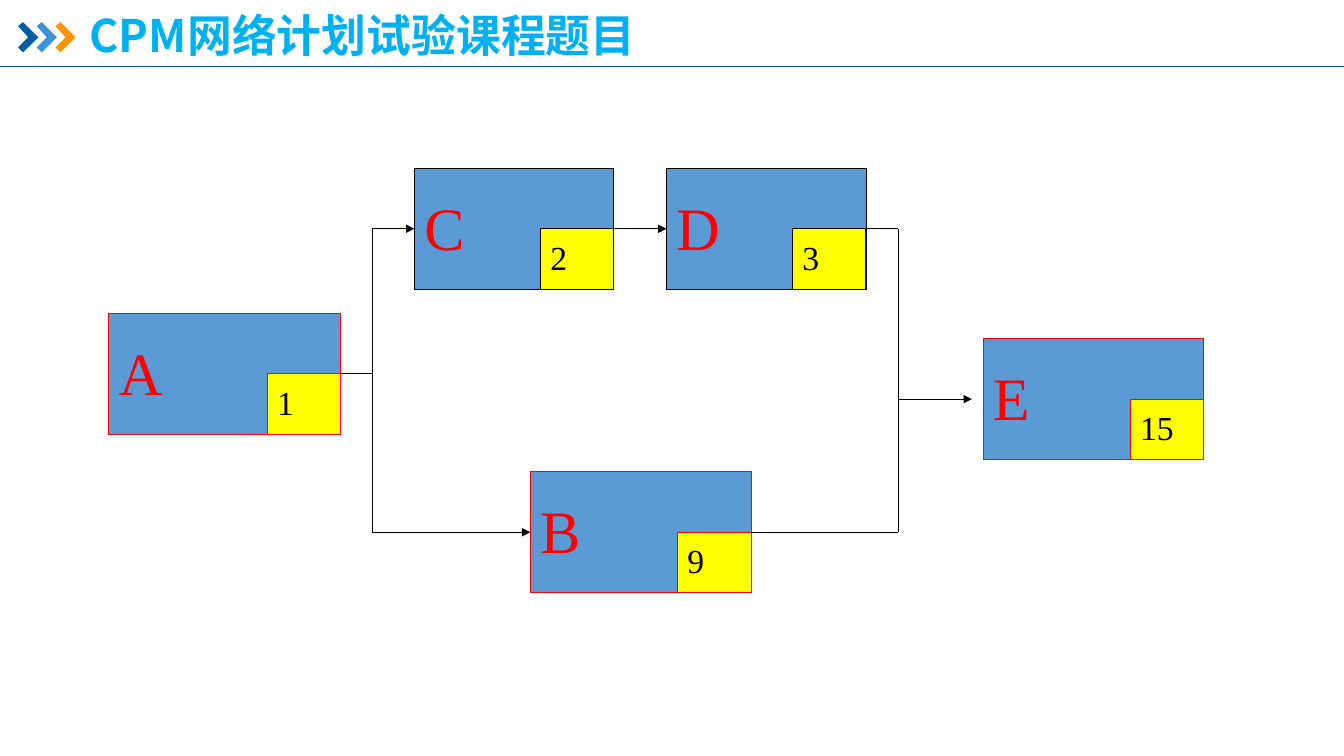
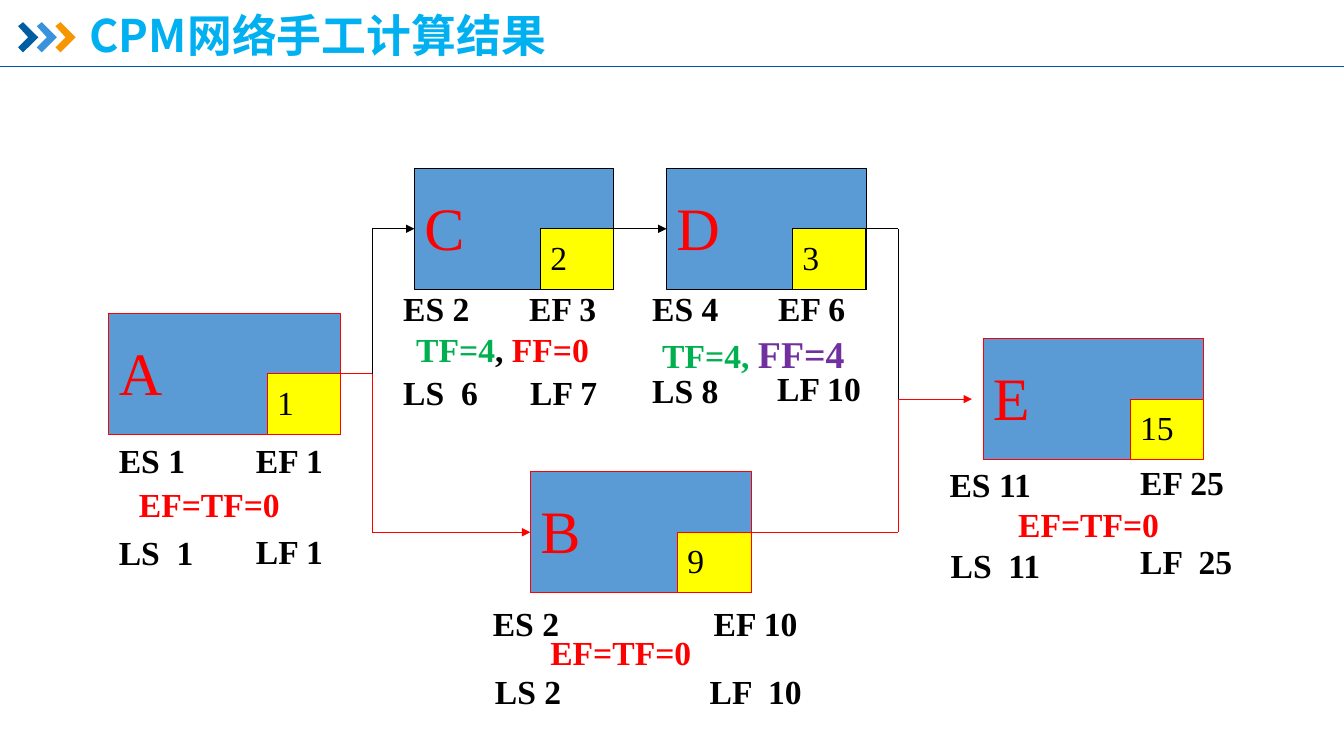
from dataclasses import dataclass
from typing import Optional

from lxml.etree import SubElement
from pptx import Presentation
from pptx.dml.color import RGBColor
from pptx.enum.shapes import MSO_CONNECTOR, MSO_SHAPE
from pptx.enum.text import MSO_ANCHOR, MSO_AUTO_SIZE, PP_ALIGN
from pptx.oxml.ns import qn
from pptx.util import Inches, Pt

RECT = MSO_SHAPE.RECTANGLE
LINE = MSO_CONNECTOR.STRAIGHT
MIDDLE = MSO_ANCHOR.MIDDLE
GROW = MSO_AUTO_SIZE.SHAPE_TO_FIT_TEXT
LEFT = PP_ALIGN.LEFT
WEST, EAST = 1, 3  # connection sites


@dataclass(frozen=True)
class Theme:
    sans: str = "Noto Sans CJK SC"
    serif: str = "Times New Roman"
    title: str = "00B0F0"
    rule: str = "0054A9"
    marks: tuple = ("005DA2", "3992DB", "F79600")
    box: str = "5B9BD5"
    badge: str = "FFFF00"
    ink: str = "000000"
    red: str = "FF0000"
    green: str = "00B050"
    purple: str = "7030A0"
    head: int = 32
    name: int = 43
    body: int = 24
    large: int = 27
    thin: float = 0.5
    edge: float = 0.75


@dataclass(frozen=True)
class Node:
    name: str
    days: str
    x: float
    y: float
    w: float
    hot: bool  # on the critical path


@dataclass(frozen=True)
class Wire:
    start: tuple
    end: tuple
    hot: bool = False
    tip: bool = False
    tail: Optional[str] = None  # node left on its right side
    head: Optional[str] = None  # node met on its left side


@dataclass(frozen=True)
class Span:
    text: str
    color: str
    size: int


@dataclass(frozen=True)
class Note:
    x: float
    y: float
    w: float
    spans: tuple


T = Theme()
HIGH, HALF = 1.2, 0.6
BADGE = 0.73

# Network: nodes and the wires between them
NODES = (
    Node("A", "1", 1.08, 3.11, 2.3, True),
    Node("B", "9", 5.26, 4.68, 2.19, True),
    Node("C", "2", 4.11, 1.67, 1.98, False),
    Node("D", "3", 6.61, 1.67, 1.98, False),
    Node("E", "15", 9.75, 3.36, 2.19, True),
)
FORK, JOIN = 3.69, 8.91
TOP, MID, LOW, GOAL = 2.27, 3.71, 5.28, 3.96
WIRES = (
    Wire((3.38, MID), (FORK, MID), hot=True, tail="A"),
    Wire((FORK, MID), (FORK, LOW), hot=True),
    Wire((FORK, LOW), (5.26, LOW), hot=True, tip=True, head="B"),
    Wire((7.45, LOW), (JOIN, LOW), hot=True, tail="B"),
    Wire((JOIN, GOAL), (JOIN, LOW), hot=True),
    Wire((JOIN, GOAL), (9.64, GOAL), hot=True, tip=True),
    Wire((FORK, MID), (FORK, TOP)),
    Wire((FORK, TOP), (4.11, TOP), tip=True, head="C"),
    Wire((6.09, TOP), (6.61, TOP), tip=True, tail="C", head="D"),
    Wire((8.59, TOP), (JOIN, TOP), tail="D"),
    Wire((JOIN, TOP), (JOIN, GOAL)),
)


def plain(x: float, y: float, w: float, text: str, color: str = T.ink) -> Note:
    return Note(x, y, w, (Span(text, color, T.body),))


# Times and floats beside each node
NOTES = (
    plain(1.08, 4.36, 1.02, "ES 1"),
    plain(2.44, 4.36, 1.04, "EF 1"),
    plain(1.28, 4.8, 2.26, "EF=TF=0", T.red),
    plain(1.08, 5.28, 1.04, "LS  1"),
    plain(2.44, 5.27, 1.25, "LF 1"),
    plain(4.79, 5.98, 1.04, "ES 2"),
    plain(6.98, 5.98, 1.15, "EF 10"),
    plain(5.36, 6.27, 2.19, "EF=TF=0", T.red),
    plain(4.81, 6.66, 1.15, "LS 2"),
    plain(6.94, 6.66, 1.57, "LF  10"),
    plain(3.9, 2.86, 1.25, "ES 2"),
    plain(5.15, 2.86, 1.25, "EF 3"),
    Note(4.03, 3.26, 2.51, (Span("TF=4", T.green, T.body),
                            Span(", ", T.ink, T.body),
                            Span("FF=0", T.red, T.body))),
    plain(3.9, 3.69, 1.15, "LS  6"),
    plain(5.16, 3.69, 1.25, "LF 7"),
    plain(6.37, 2.86, 1.25, "ES 4"),
    plain(7.62, 2.86, 1.15, "EF 6"),
    Note(6.47, 3.28, 2.13, (Span("TF=4, ", T.green, T.body),
                            Span("FF=4", T.purple, T.large))),
    plain(6.37, 3.67, 1.25, "LS 8"),
    plain(7.61, 3.65, 1.36, "LF 10"),
    plain(9.32, 4.6, 1.36, "ES 11"),
    plain(11.21, 4.58, 1.25, "EF 25"),
    plain(10, 5, 1.94, "EF=TF=0", T.red),
    plain(9.33, 5.41, 1.39, "LS  11"),
    plain(11.21, 5.37, 1.25, "LF  25"),
)


def rgb(code: str) -> RGBColor:
    return RGBColor.from_string(code)


def style(font, size: int, color: str) -> None:
    font.size = Pt(size)
    font.color.rgb = rgb(color)


def inset(frame) -> None:
    frame.word_wrap = True
    frame.margin_left = frame.margin_right = Inches(0.1)
    frame.margin_top = 0
    frame.margin_bottom = Inches(0.05)


def line(slide, start: tuple, end: tuple, color: str, width: float,
         tip: bool = False):
    item = slide.shapes.add_connector(
        LINE, *(Inches(v) for v in (*start, *end)))
    item.line.color.rgb = rgb(color)
    item.line.width = Pt(width)
    props = item._element.spPr
    if tip:
        SubElement(props.find(qn("a:ln")), qn("a:tailEnd"), type="triangle")
    SubElement(props, qn("a:effectLst"))
    return item


def block(slide, x: float, y: float, w: float, h: float, fill: str,
          edge: str, text: str, size: int, color: str):
    item = slide.shapes.add_shape(
        RECT, Inches(x), Inches(y), Inches(w), Inches(h))
    item.shadow.inherit = False
    item.fill.solid()
    item.fill.fore_color.rgb = rgb(fill)
    item.line.color.rgb = rgb(edge)
    item.line.width = Pt(T.edge)
    frame = item.text_frame
    inset(frame)
    frame.vertical_anchor = MIDDLE
    para = frame.paragraphs[0]
    para.text = text
    para.alignment = LEFT
    para.font.name = T.serif
    style(para.font, size, color)
    return item


def mark(slide, x: float, color: str) -> None:
    outline = ((0, 0.26), (0.05, 0.22), (0.2, 0.37),
               (0.05, 0.52), (0, 0.47), (0.1, 0.37))
    spots = [(Inches(x + dx), Inches(y)) for dx, y in outline]
    build = slide.shapes.build_freeform(*spots[0])
    build.add_line_segments(spots[1:], close=True)
    item = build.convert_to_shape()
    item.shadow.inherit = False
    item.fill.solid()
    item.fill.fore_color.rgb = rgb(color)
    item.line.fill.background()


def header(slide, text: str) -> None:
    # Chevrons, rule and title
    for i, color in enumerate(T.marks):
        mark(slide, 0.18 + i * 0.185, color)
    line(slide, (0, 0.66), (13.33, 0.66), T.rule, T.thin)
    box = slide.shapes.add_textbox(
        Inches(0.79), Inches(0.08), Inches(10.78), Inches(0.59))
    frame = box.text_frame
    frame.word_wrap = True
    frame.auto_size = GROW
    frame.vertical_anchor = MIDDLE
    para = frame.paragraphs[0]
    para.text = text
    para.line_spacing = 0.9
    para.font.bold = True
    para.font.name = T.sans
    style(para.font, T.head, T.title)
    SubElement(para.font._element, qn("a:ea"), typeface=T.sans)


def network(slide, trace: bool) -> None:
    # Activity boxes with their durations
    boxes = {}
    for n in NODES:
        edge = T.red if n.hot else T.ink
        boxes[n.name] = block(slide, n.x, n.y, n.w, HIGH, T.box, edge,
                              n.name, T.name, T.red)
        block(slide, n.x + n.w - BADGE, n.y + HALF, BADGE, HALF, T.badge,
              edge, n.days, T.body, T.ink)
    # Wires, red along the critical path when traced
    for w in WIRES:
        color = T.red if trace and w.hot else T.ink
        item = line(slide, w.start, w.end, color, T.edge, w.tip)
        if w.tail:
            item.begin_connect(boxes[w.tail], EAST)
        if w.head:
            item.end_connect(boxes[w.head], WEST)


def label(slide, note: Note) -> None:
    box = slide.shapes.add_textbox(
        Inches(note.x), Inches(note.y), Inches(note.w), Inches(0.45))
    frame = box.text_frame
    inset(frame)
    frame.auto_size = GROW
    para = frame.paragraphs[0]
    para.font.name = T.serif
    para.font.bold = True
    if len(note.spans) == 1:
        span = note.spans[0]
        para.text = span.text
        style(para.font, span.size, span.color)
        return
    for span in note.spans:
        run = para.add_run()
        run.text = span.text
        style(run.font, span.size, span.color)


def main() -> None:
    deck = Presentation()
    deck.slide_width = Inches(13.33)
    deck.slide_height = Inches(7.5)
    blank = deck.slide_layouts[6]
    pages = (("CPM网络计划试验课程题目", False, ()),
             ("CPM网络手工计算结果", True, NOTES))
    for title, trace, notes in pages:
        slide = deck.slides.add_slide(blank)
        header(slide, title)
        network(slide, trace)
        for note in notes:
            label(slide, note)
    deck.save("out.pptx")


if __name__ == "__main__":
    main()
